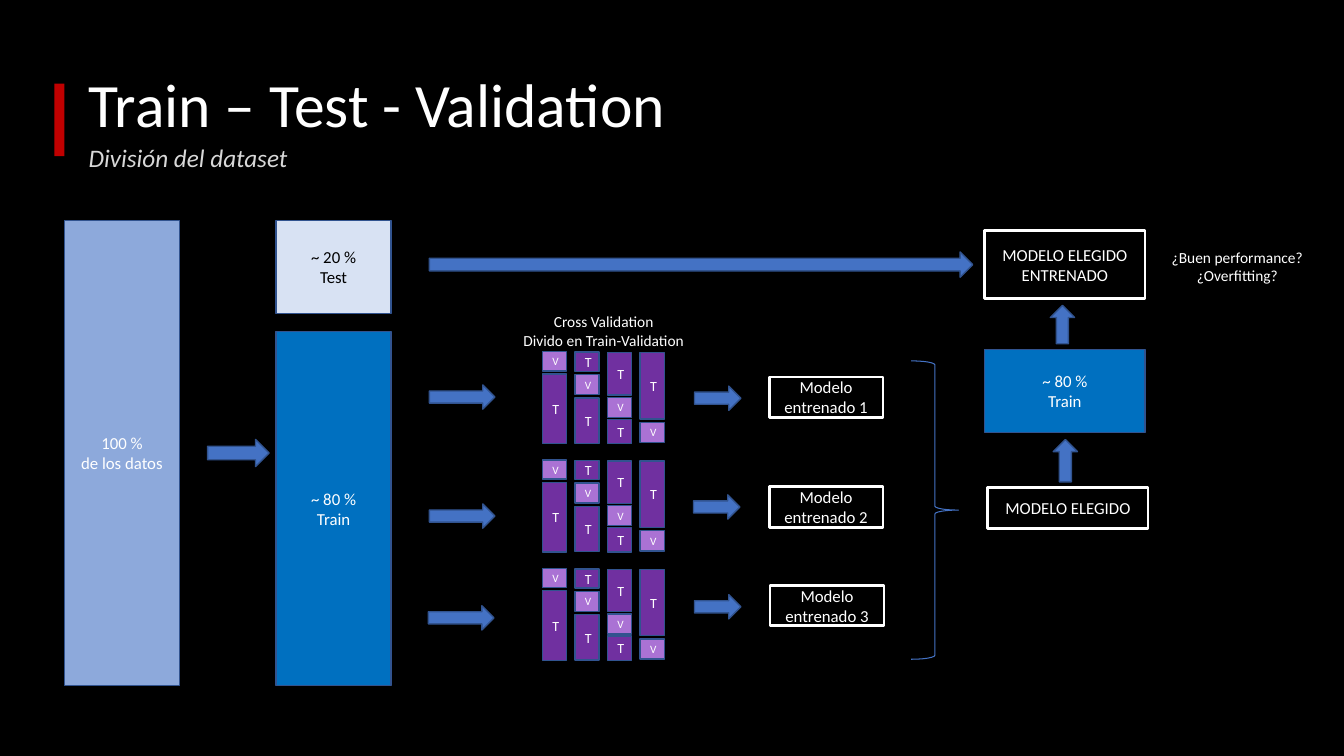
from pptx import Presentation
from pptx.dml.color import RGBColor
from pptx.enum.shapes import MSO_SHAPE
from pptx.enum.text import MSO_ANCHOR, PP_ALIGN
from pptx.util import Pt

BLACK = RGBColor(0x00, 0x00, 0x00)
WHITE = RGBColor(0xFF, 0xFF, 0xFF)
GREY = RGBColor(0xD8, 0xD8, 0xD8)
RED = RGBColor(0xC0, 0x00, 0x00)
SOFT = RGBColor(0x8D, 0xA9, 0xDB)
PALE = RGBColor(0xD8, 0xE2, 0xF3)
BLUE = RGBColor(0x00, 0x70, 0xC0)
ARROW = RGBColor(0x44, 0x72, 0xC4)
EDGE = RGBColor(0x31, 0x53, 0x8F)
PURPLE = RGBColor(0x70, 0x30, 0xA0)
LILAC = RGBColor(0xAA, 0x72, 0xD4)

deck = Presentation()
deck.slide_width, deck.slide_height = Pt(960), Pt(540)
slide = deck.slides.add_slide(deck.slide_layouts[6])
slide.background.fill.solid()
slide.background.fill.fore_color.rgb = BLACK


def draw(kind, area, fill=None, line=EDGE, width=1):
    shape = slide.shapes.add_shape(kind, *[Pt(n) for n in area])
    shape.shadow.inherit = False
    if fill is None:
        shape.fill.background()
    else:
        shape.fill.solid()
        shape.fill.fore_color.rgb = fill
    if line is None:
        shape.line.fill.background()
    else:
        shape.line.color.rgb = line
        shape.line.width = Pt(width)
    return shape


def write(shape, lines, size=12, color=WHITE, align=PP_ALIGN.CENTER,
          anchor=MSO_ANCHOR.MIDDLE, space=1.0, italic=False):
    frame = shape.text_frame
    frame.word_wrap = True
    frame.vertical_anchor = anchor
    for i, line in enumerate(lines):
        par = frame.add_paragraph() if i else frame.paragraphs[0]
        par.alignment = align
        par.line_spacing = space
        run = par.add_run()
        run.text = line
        run.font.name = "Calibri"
        run.font.size = Pt(size)
        run.font.color.rgb = color
        run.font.italic = italic


# Title, subtitle and red bar
title = slide.shapes.add_textbox(Pt(56.2), Pt(24.5), Pt(594), Pt(104.4))
write(title, ["Train – Test - Validation"], 44, align=PP_ALIGN.LEFT, space=0.9)
sub = slide.shapes.add_textbox(Pt(56.2), Pt(100.8), Pt(432), Pt(37.4))
write(sub, ["División del dataset"], 18, GREY, PP_ALIGN.LEFT,
      MSO_ANCHOR.TOP, 0.9, True)
draw(MSO_SHAPE.RECTANGLE, (38.9, 59.8, 7.2, 51.8), RED, None)

# Data blocks
for area, fill, color, lines in [
    ((46.1, 157.7, 82.1, 331.9), SOFT, WHITE, ["100 %", "de los datos"]),
    ((197.3, 157.7, 82.1, 66.2), PALE, BLACK, ["~ 20 %", "Test"]),
    ((197.3, 236.9, 82.1, 252.7), BLUE, WHITE, ["~ 80 %", "Train"]),
    ((703.4, 249.8, 114.5, 59), BLUE, WHITE, ["~ 80 %", "Train"]),
]:
    write(draw(MSO_SHAPE.RECTANGLE, area, fill), lines, color=color)

# Cross validation: three copies of four folds, each part as (kind, top, height)
FOLDS = [
    [("V", 0, 13.7), ("T", 15.9, 49.7)],
    [("T", 0.3, 13.7), ("V", 16.4, 14.4), ("T", 33.1, 32.4)],
    [("T", 0.7, 30.2), ("V", 32.6, 14.4), ("T", 48.4, 17.3)],
    [("T", 0.7, 47.5), ("V", 50.5, 14.4)],
]
for row in range(3):
    for col, fold in enumerate(FOLDS):
        for kind, top, high in fold:
            area = (387.4 + 23.3 * col, 251.2 + 77.4 * row + top, 17.3, high)
            part = draw(MSO_SHAPE.RECTANGLE, area,
                        LILAC if kind == "V" else PURPLE)
            write(part, [kind], 8 if kind == "V" else 10)

# Outlined model boxes
for area, text in [
    ((549.4, 269.3, 81.4, 28.8), "Modelo entrenado 1"),
    ((549.4, 347.8, 81.4, 28.8), "Modelo entrenado 2"),
    ((550.1, 418.3, 81.4, 28.8), "Modelo entrenado 3"),
    ((705.6, 348.5, 114.5, 28.8), "MODELO ELEGIDO"),
    ((703.4, 164.9, 114.5, 48.2), "MODELO ELEGIDO ENTRENADO"),
]:
    write(draw(MSO_SHAPE.RECTANGLE, area, line=WHITE, width=2), [text])

# Brace gathering the models
brace = draw(MSO_SHAPE.RIGHT_BRACE, (650.9, 257.8, 33.8, 213.1),
             line=ARROW, width=0.75)
brace.adjustments[0] = 0.083

# Block arrows, the last two turned upwards
for *area, turn in [
    (148.3, 313.9, 43.9, 19.4, 0),
    (306.7, 180, 388.1, 18, 0),
    (306.7, 275, 46.8, 17.3, 0),
    (306.7, 360, 46.8, 17.3, 0),
    (306, 432.7, 46.8, 17.3, 0),
    (496.1, 275.8, 33.1, 17.3, 0),
    (495.4, 353.5, 33.1, 17.3, 0),
    (496.1, 424.8, 33.1, 17.3, 0),
    (745.9, 320.4, 30.2, 17.3, 270),
    (745.2, 223.2, 27.4, 17.3, 270),
]:
    draw(MSO_SHAPE.RIGHT_ARROW, area, ARROW).rotation = turn

# Captions
for area, lines in [
    ((361.4, 219.6, 139.7, 33.8),
     ["Cross Validation", "Divido en Train-Validation"]),
    ((826.6, 173.5, 114.5, 33.8), ["¿Buen performance?", "¿Overfitting?"]),
]:
    note = slide.shapes.add_textbox(*[Pt(n) for n in area])
    write(note, lines, 11, anchor=MSO_ANCHOR.TOP)

deck.save("out.pptx")
